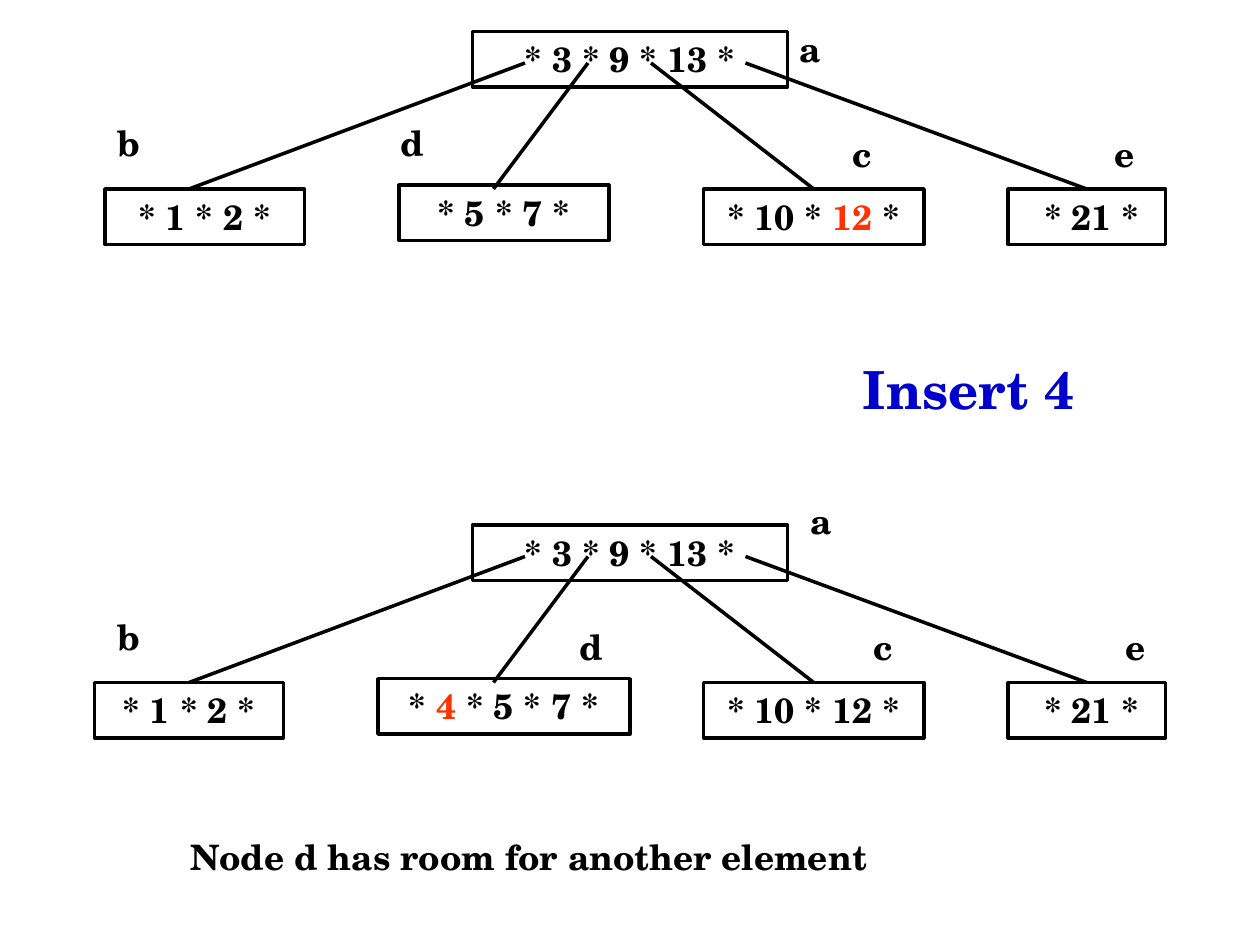
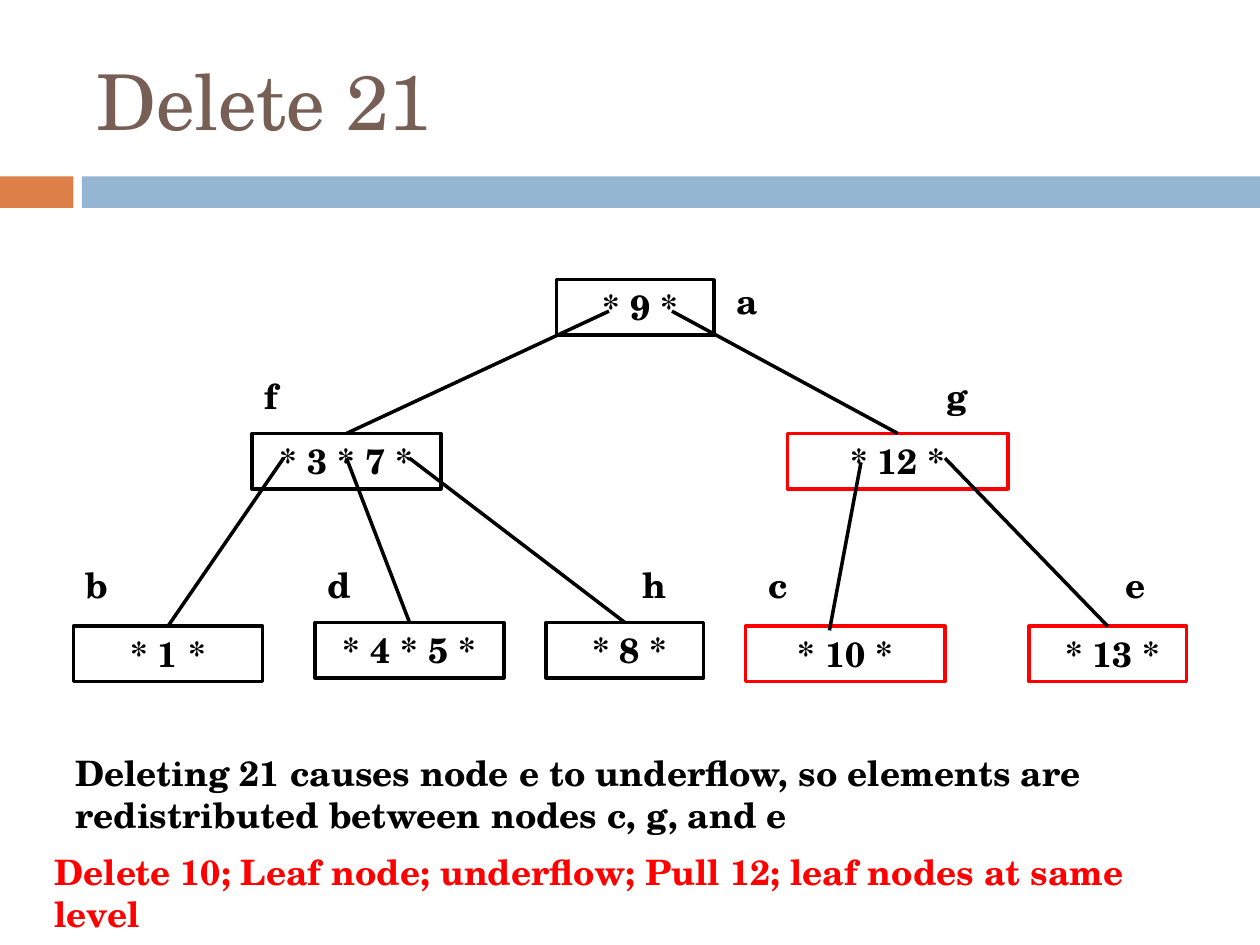
from pptx import Presentation
from pptx.dml.color import RGBColor
from pptx.enum.shapes import MSO_CONNECTOR, MSO_SHAPE
from pptx.enum.text import MSO_ANCHOR, PP_ALIGN
from pptx.oxml.ns import qn
from pptx.util import Inches, Pt
from lxml.etree import SubElement

WIDTH, HEIGHT = Inches(10), Inches(7.5)
COLUMNS, ROWS = 120, 90
COLORS = {
    "ink": "000000", "insert": "0000CC", "fresh": "FF3300", "changed": "FF0000",
    "title": "775F55", "accent": "DD8047", "band": "94B6D2",
}
BODY = {"name": "TeX Gyre Schola", "size": Pt(20), "bold": True}
INSERT_TITLE = BODY | {"size": Pt(30)}
PAGE_TITLE = BODY | {"size": Pt(44), "bold": False}
NODE_FRAME = {"word_wrap": True, "vertical_anchor": MSO_ANCHOR.TOP}
NODE_HEIGHT = 5.28
NARROW_NODE = 15
LINE_WIDTH = Pt(2)


def across(columns):
    return round(columns * WIDTH / COLUMNS)


def down(rows):
    return round(rows * HEIGHT / ROWS)


def place(left, top, width, height):
    return across(left), down(top), across(width), down(height)


def color(name):
    return RGBColor.from_string(COLORS[name])


def set_values(target, values):
    for name, value in values.items():
        setattr(target, name, value)


def write(para, text, shade="ink", values=BODY):
    span = para.add_run()
    span.text = text
    set_values(span.font, values)
    span.font.color.rgb = color(shade)


def add_text(shapes, area, text, shade="ink", values=BODY, anchor=MSO_ANCHOR.TOP):
    frame = shapes.add_textbox(*place(*area)).text_frame
    set_values(frame, {"word_wrap": True, "vertical_anchor": anchor})
    write(frame.paragraphs[0], text, shade, values)


def add_node(shapes, left, top, width, keys, fresh="", outline="ink"):
    """Draw one tree node: its keys between stars, the fresh key in red."""
    box = shapes.add_shape(MSO_SHAPE.RECTANGLE, *place(left, top, width, NODE_HEIGHT))
    box.shadow.inherit = False
    box.fill.background()
    box.line.color.rgb = color(outline)
    box.line.width = LINE_WIDTH
    set_values(box.text_frame, NODE_FRAME)
    if width == NARROW_NODE:
        box.text_frame.margin_left = Inches(0.18)
    para = box.text_frame.paragraphs[0]
    para.alignment = PP_ALIGN.CENTER
    text = f"* {' * '.join(keys.split())} *"
    pieces = text.partition(fresh) if fresh else (text,)
    for piece in pieces:
        write(para, piece, "fresh" if piece == fresh else "ink")
    return box


def add_branch(shapes, start, end, child=None):
    """Draw a branch; join it to the top of the child when one is given."""
    line = shapes.add_connector(
        MSO_CONNECTOR.STRAIGHT,
        across(start[0]), down(start[1]), across(end[0]), down(end[1]))
    line.line.color.rgb = color("ink")
    line.line.width = LINE_WIDTH
    SubElement(line._element.spPr, qn("a:effectLst"))
    if child is not None:
        line.end_connect(child, 0)


def add_tree(shapes, origin, nodes, branches, labels):
    """Draw a tree from its origin; a branch ends at a named node or a point."""
    left, top = origin

    def shift(point):
        return left + point[0], top + point[1]

    boxes = {}
    for name, (column, row, *rest) in nodes.items():
        boxes[name] = add_node(shapes, *shift((column, row)), *rest)
    for start, end in branches:
        if end in boxes:
            add_branch(shapes, shift(start), shift(start), boxes[end])
        else:
            add_branch(shapes, shift(start), shift(end))
    for name, point in labels.items():
        add_text(shapes, (*shift(point), 6, NODE_HEIGHT), name)


def add_band(shapes, top, height):
    for shade, left, width in (("accent", 0, 7), ("band", 7.8, COLUMNS - 7.8)):
        bar = shapes.add_shape(MSO_SHAPE.RECTANGLE, *place(left, top, width, height))
        bar.shadow.inherit = False
        bar.fill.solid()
        bar.fill.fore_color.rgb = color(shade)
        bar.line.fill.background()


def build_insert_page(page):
    add_text(page.shapes, (81, 31, 26, 12), "Insert 4", "insert",
             INSERT_TITLE, MSO_ANCHOR.MIDDLE)
    shared = {
        "a": (36, 0, 30, "3 9 13"),
        "e": (87, 15, NARROW_NODE, "21"),
    }
    before = shared | {
        "b": (1, 15, 19, "1 2"),
        "d": (29, 14.64, 20, "5 7"),
        "c": (58, 15, 21, "10 12", "12"),
    }
    after = shared | {
        "b": (0, 15, 18, "1 2"),
        "d": (27, 14.64, 24, "4 5 7", "4"),
        "c": (58, 15, 21, "10 12"),
    }
    to_others = [((47, 3), (38, 15)), ((53, 3), "c"), ((62, 3), "e")]
    b_start = (41, 3)
    group = page.shapes.add_group_shape().shapes
    add_tree(group, (9, 50), after, [(b_start, "b"), *to_others],
             {"a": (67, -3), "b": (1, 8), "d": (45, 9), "c": (73, 9), "e": (97, 9)})
    add_text(group, (17, 79, 83, NODE_HEIGHT), "Node d has room for another element")
    add_tree(page.shapes, (9, 3), before, [(b_start, (9, 15)), *to_others],
             {"a": (66, -1), "b": (1, 8), "d": (28, 8), "c": (71, 9), "e": (96, 9)})


def build_delete_page(page):
    add_band(page.shapes, 16.8, 3)
    add_text(page.shapes, (8, 3, 107, 13), "Delete 21", "title",
             PAGE_TITLE, MSO_ANCHOR.MIDDLE)
    middle, leaf, raised_leaf = 14.64, 33, 32.64
    nodes = {
        "a": (46, 0, NARROW_NODE, "9"),
        "f": (17, middle, 18, "3 7"),
        "g": (68, middle, 21, "12", "", "changed"),
        "b": (0, leaf, 18, "1"),
        "d": (23, raised_leaf, 18, "4 5"),
        "h": (45, raised_leaf, NARROW_NODE, "8"),
        "c": (64, leaf, 19, "10", "", "changed"),
        "e": (91, leaf, NARROW_NODE, "13", "", "changed"),
    }
    branches = [
        ((51, 3), "f"), ((57, 3), "g"),
        ((20, 17), "b"), ((26, 17), "d"), ((32, 17), "h"),
        ((75, 17.4), (72, 33.4)), ((83, 17), "e"),
    ]
    labels = {"a": (62, -0.6), "f": (17, 8.4), "g": (82, 8.4)}
    leaf_labels = {"b": 0, "d": 23, "h": 53, "c": 65, "e": 99}
    labels |= {name: (column, 26.4) for name, column in leaf_labels.items()}
    add_tree(page.shapes, (7, 26.64), nodes, branches, labels)
    add_text(page.shapes, (6, 71, 108, 9.24),
             "Deleting 21 causes node e to underflow, so elements are "
             "redistributed between nodes c, g, and e")
    add_text(page.shapes, (4, 82, 111, 6),
             "Delete 10; Leaf node; underflow; Pull 12; leaf nodes at same level",
             "changed", anchor=MSO_ANCHOR.MIDDLE)


def main():
    deck = Presentation()
    set_values(deck, {"slide_width": WIDTH, "slide_height": HEIGHT})
    for build in (build_insert_page, build_delete_page):
        build(deck.slides.add_slide(deck.slide_layouts[6]))
    deck.save("out.pptx")


if __name__ == "__main__":
    main()
